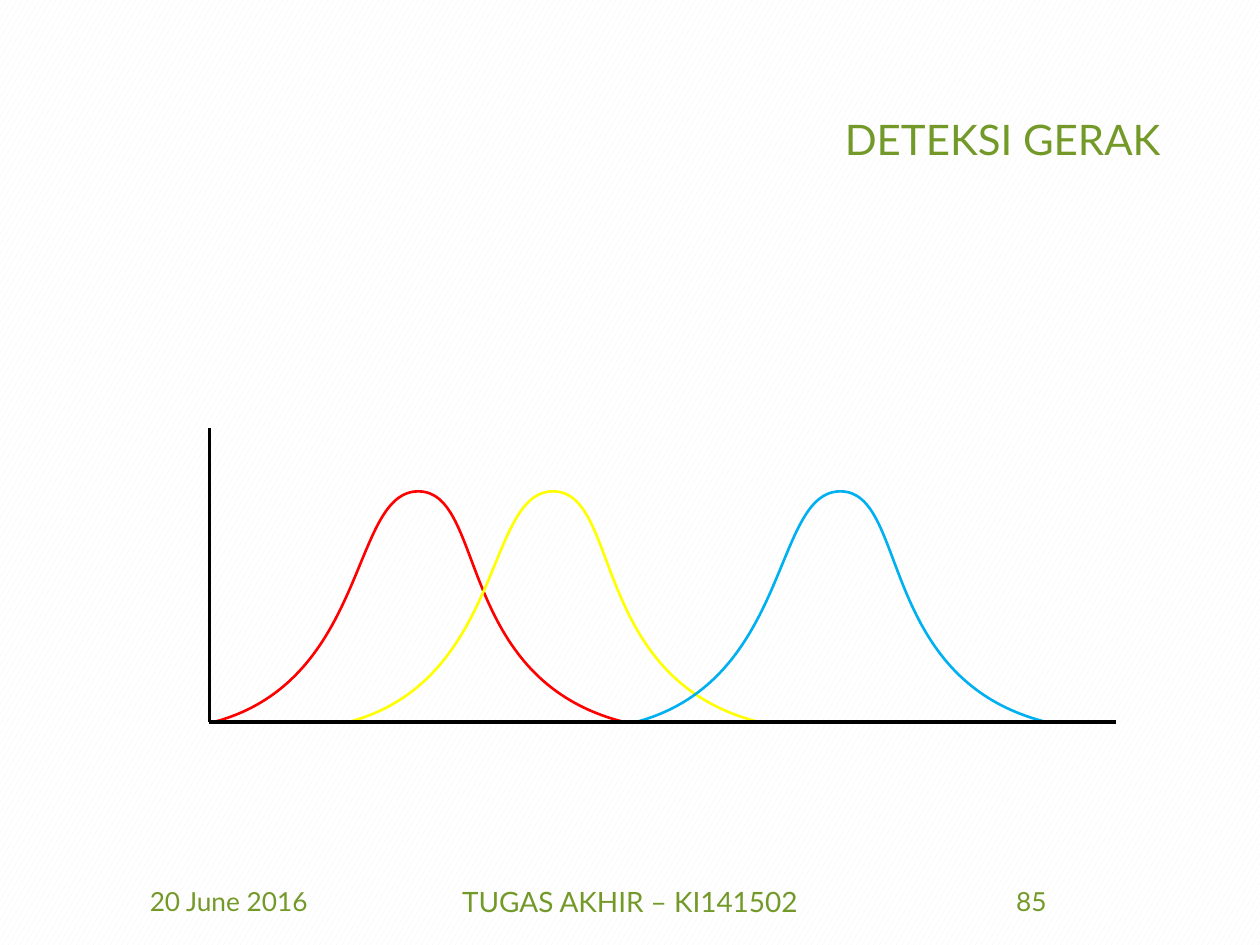
from lxml.etree import SubElement
from pptx import Presentation
from pptx.dml.color import RGBColor
from pptx.enum.dml import MSO_PATTERN
from pptx.enum.shapes import MSO_CONNECTOR
from pptx.enum.text import MSO_ANCHOR, PP_ALIGN
from pptx.oxml.ns import qn
from pptx.util import Inches, Pt

GREEN = RGBColor(0x73, 0x9A, 0x28)
RED = RGBColor(0xFF, 0x00, 0x00)
YELLOW = RGBColor(0xFF, 0xFF, 0x00)
BLUE = RGBColor(0x00, 0xB0, 0xF0)
BLACK = RGBColor(0x00, 0x00, 0x00)
WHITE = RGBColor(0xFF, 0xFF, 0xFF)
PALE = RGBColor(0xF2, 0xF2, 0xF2)

BASE = 5.73  # height of the horizontal axis

# Outline of a bell, measured from its top left corner
START, PEAK, END = (0, 1.83), (1.62, 0), (3.25, 1.83)
BENDS = [
    [(1.23, 1.5), (1.08, 0)],  # control points of the rise
    [(2.16, 0), (1.91, 1.49)],  # control points of the fall
]


class Slide:
    font = "Lato"
    color = GREEN
    curve = Pt(1.5)
    rule = Pt(1.75)

    def __init__(self, deck):
        self.page = deck.slides.add_slide(deck.slide_layouts[6])
        self.shapes = self.page.shapes

    def paper(self, front, back):
        fill = self.page.background.fill
        fill.patterned()
        fill.pattern = MSO_PATTERN.LARGE_CONFETTI
        fill.fore_color.rgb = front
        fill.back_color.rgb = back

    def text(self, words, left, top, width, height, size,
             align=PP_ALIGN.CENTER, space=None):
        box = self.shapes.add_textbox(
            Inches(left), Inches(top), Inches(width), Inches(height))
        frame = box.text_frame
        frame.word_wrap = True
        frame.vertical_anchor = MSO_ANCHOR.MIDDLE
        para = frame.paragraphs[0]
        para.text = words
        para.alignment = align
        para.line_spacing = space
        para.font.name = self.font
        para.font.size = Pt(size)
        para.font.color.rgb = self.color

    def bell(self, left, color):
        top = BASE - START[1]
        first, *rest = [(Inches(left + x), Inches(top + y))
                        for x, y in (START, PEAK, END, START)]
        pen = self.shapes.build_freeform(*first)
        pen.add_line_segments(rest, close=True)
        bell = pen.convert_to_shape()
        bell.shadow.inherit = False
        bell.fill.background()
        bell.line.color.rgb = color
        bell.line.width = self.curve
        # Bend the first two sides into Bezier curves
        sides = list(bell._element.iter(qn("a:lnTo")))
        for side, bends in zip(sides, BENDS):
            side.tag = qn("a:cubicBezTo")
            for spot, (x, y) in enumerate(bends):
                point = SubElement(side, qn("a:pt"),
                                   x=str(Inches(x)), y=str(Inches(y)))
                side.insert(spot, point)

    def axis(self, x1, y1, x2, y2):
        line = self.shapes.add_connector(
            MSO_CONNECTOR.STRAIGHT,
            Inches(x1), Inches(y1), Inches(x2), Inches(y2))
        line.line.color.rgb = BLACK
        line.line.width = self.rule
        SubElement(line._element.spPr, qn("a:effectLst"))


def main():
    deck = Presentation()
    deck.slide_width, deck.slide_height = Inches(10), Inches(7.5)
    slide = Slide(deck)
    slide.paper(PALE, WHITE)

    # Title
    slide.text("DETEKSI GERAK", 0.69, 0.4, 8.62, 1.45, 24,
               PP_ALIGN.RIGHT, 0.9)

    # Footer
    for words, left, width, size in [
        ("20 June 2016", 0.69, 2.25, 15),
        ("TUGAS AKHIR – KI141502", 3.31, 3.38, 16),
        ("85", 7.06, 2.25, 15),
    ]:
        slide.text(words, left, 6.95, width, 0.4, size)

    # Bell curves
    for left, color in [(1.7, RED), (2.77, YELLOW), (5.05, BLUE)]:
        slide.bell(left, color)

    # Axes
    slide.axis(1.66, 3.4, 1.66, BASE)
    slide.axis(8.86, BASE, 1.66, BASE)

    deck.save("out.pptx")


if __name__ == "__main__":
    main()
